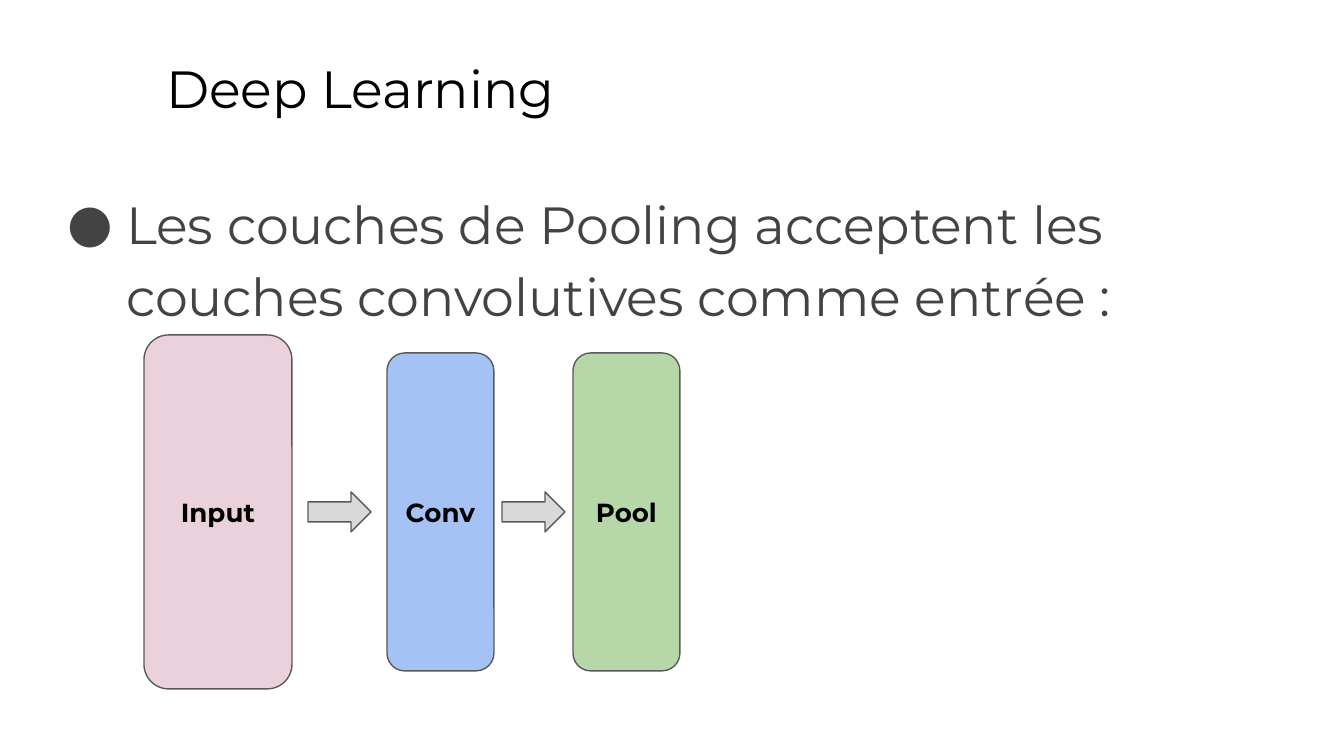
from dataclasses import dataclass

import pptx
import pptx.dml.color
import pptx.enum.shapes
import pptx.enum.text
import pptx.oxml.ns
import pptx.util
from lxml import etree

SLIDE_WIDTH, SLIDE_HEIGHT = 1344, 756
EMU_PER_PX = 9144000 / SLIDE_WIDTH
FONT = "Montserrat"
BLACK, BODY_GREY, OUTLINE, ARROW_FILL = "000000", "434343", "595959", "D9D9D9"
INSET = pptx.util.Inches(0.1)
MIDDLE = 512  # shared vertical centre of the diagram


@dataclass
class Layer:
    label: str
    left: int
    width: int
    height: int
    fill: str


LAYERS = [
    Layer("Input", 144, 148, 354, "EAD1DC"),
    Layer("Conv", 387, 107, 318, "A4C2F4"),
    Layer("Pool", 573, 107, 318, "B6D7A8"),
]
ARROW_WIDTH, ARROW_HEIGHT = 63, 40


def px(length: float) -> int:
    return round(length * EMU_PER_PX)


def rgb(colour: str) -> pptx.dml.color.RGBColor:
    return pptx.dml.color.RGBColor.from_string(colour)


def write(frame, text: str, size: int, colour: str, bold: bool = False):
    """Fill a text frame with one paragraph and return that paragraph."""
    frame.word_wrap = True
    frame.margin_left = frame.margin_right = INSET
    frame.margin_top = frame.margin_bottom = INSET
    frame.text = text
    paragraph = frame.paragraphs[0]
    font = paragraph.runs[0].font
    font.name, font.size, font.bold = FONT, pptx.util.Pt(size), bold
    font.color.rgb = rgb(colour)
    return paragraph


def add_text(slide, left: int, top: int, width: int, height: int,
             text: str, colour: str):
    box = slide.shapes.add_textbox(px(left), px(top), px(width), px(height))
    return write(box.text_frame, text, 28, colour)


def add_bullet(paragraph, colour: str, margin: int, hanging: int) -> None:
    properties = paragraph._p.get_or_add_pPr()
    properties.set("marL", str(px(margin)))
    properties.set("indent", str(-px(hanging)))
    qn = pptx.oxml.ns.qn
    bullet_colour = etree.SubElement(properties, qn("a:buClr"))
    etree.SubElement(bullet_colour, qn("a:srgbClr"), val=colour)
    etree.SubElement(properties, qn("a:buFont"), typeface=FONT)
    etree.SubElement(properties, qn("a:buChar"), char="●")


def add_centred_shape(slide, kind, left: float, width: int, height: int, fill: str):
    """Draw an outlined shape centred on the diagram's middle line."""
    shape = slide.shapes.add_shape(
        kind, px(left), px(MIDDLE - height / 2), px(width), px(height))
    shape.shadow.inherit = False
    shape.fill.solid()
    shape.fill.fore_color.rgb = rgb(fill)
    shape.line.color.rgb = rgb(OUTLINE)
    shape.line.width = pptx.util.Pt(0.75)
    return shape


def add_layer(slide, layer: Layer) -> None:
    block = add_centred_shape(
        slide, pptx.enum.shapes.MSO_SHAPE.ROUNDED_RECTANGLE,
        layer.left, layer.width, layer.height, layer.fill)
    block.text_frame.vertical_anchor = pptx.enum.text.MSO_ANCHOR.MIDDLE
    label = write(block.text_frame, layer.label, 14, BLACK, bold=True)
    label.alignment = pptx.enum.text.PP_ALIGN.CENTER


def add_arrow(slide, source: Layer, target: Layer) -> None:
    """Centre a block arrow in the gap between two layers."""
    gap_centre = (source.left + source.width + target.left) / 2
    add_centred_shape(slide, pptx.enum.shapes.MSO_SHAPE.RIGHT_ARROW,
                      gap_centre - ARROW_WIDTH / 2, ARROW_WIDTH, ARROW_HEIGHT,
                      ARROW_FILL)


def main() -> None:
    presentation = pptx.Presentation()
    presentation.slide_width = px(SLIDE_WIDTH)
    presentation.slide_height = px(SLIDE_HEIGHT)
    slide = presentation.slides.add_slide(presentation.slide_layouts[6])

    # Title and statement
    add_text(slide, 153, 43, 1145, 85, "Deep Learning", BLACK)
    statement = add_text(
        slide, 46, 169, 1253, 503,
        "Les couches de Pooling acceptent les couches convolutives comme entrée :",
        BODY_GREY)
    add_bullet(statement, BODY_GREY, margin=67, hanging=59)
    statement.line_spacing = 1.15

    # Layer diagram
    for layer in LAYERS:
        add_layer(slide, layer)
    for source, target in zip(LAYERS, LAYERS[1:]):
        add_arrow(slide, source, target)

    presentation.save("out.pptx")


if __name__ == "__main__":
    main()
